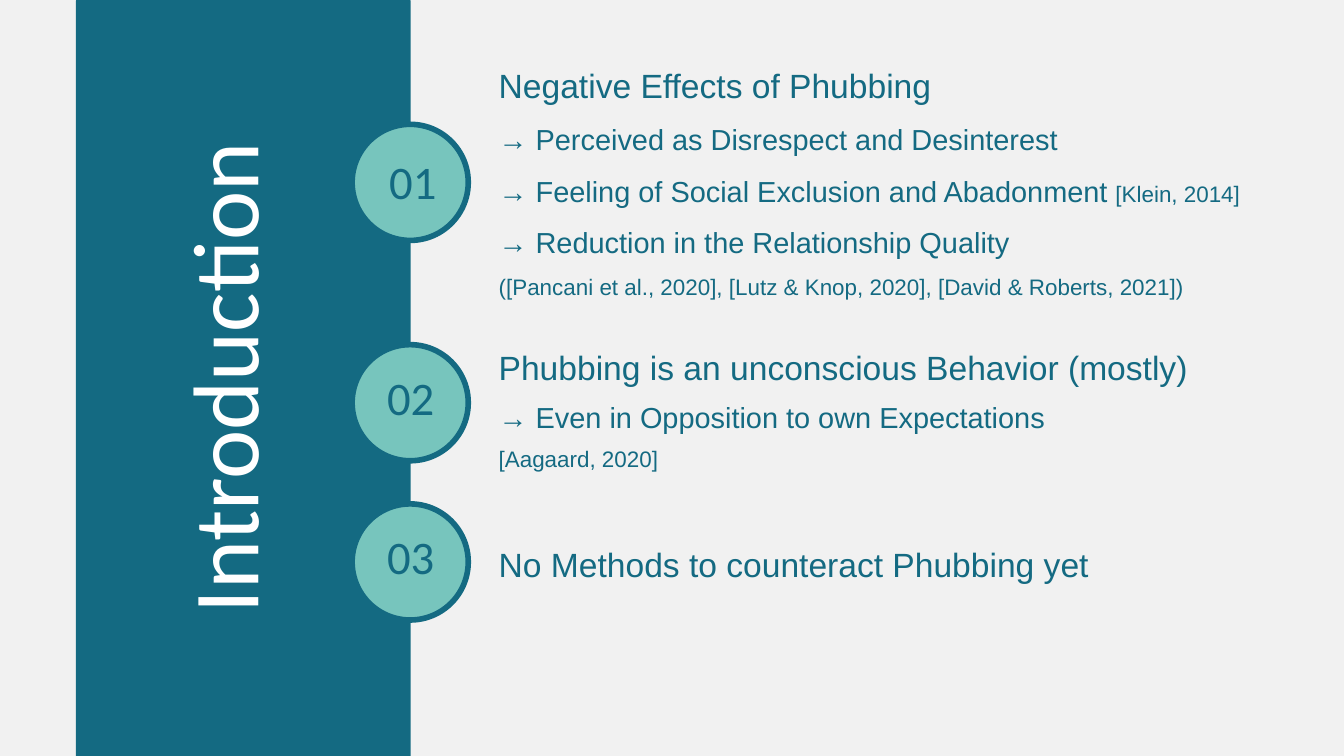
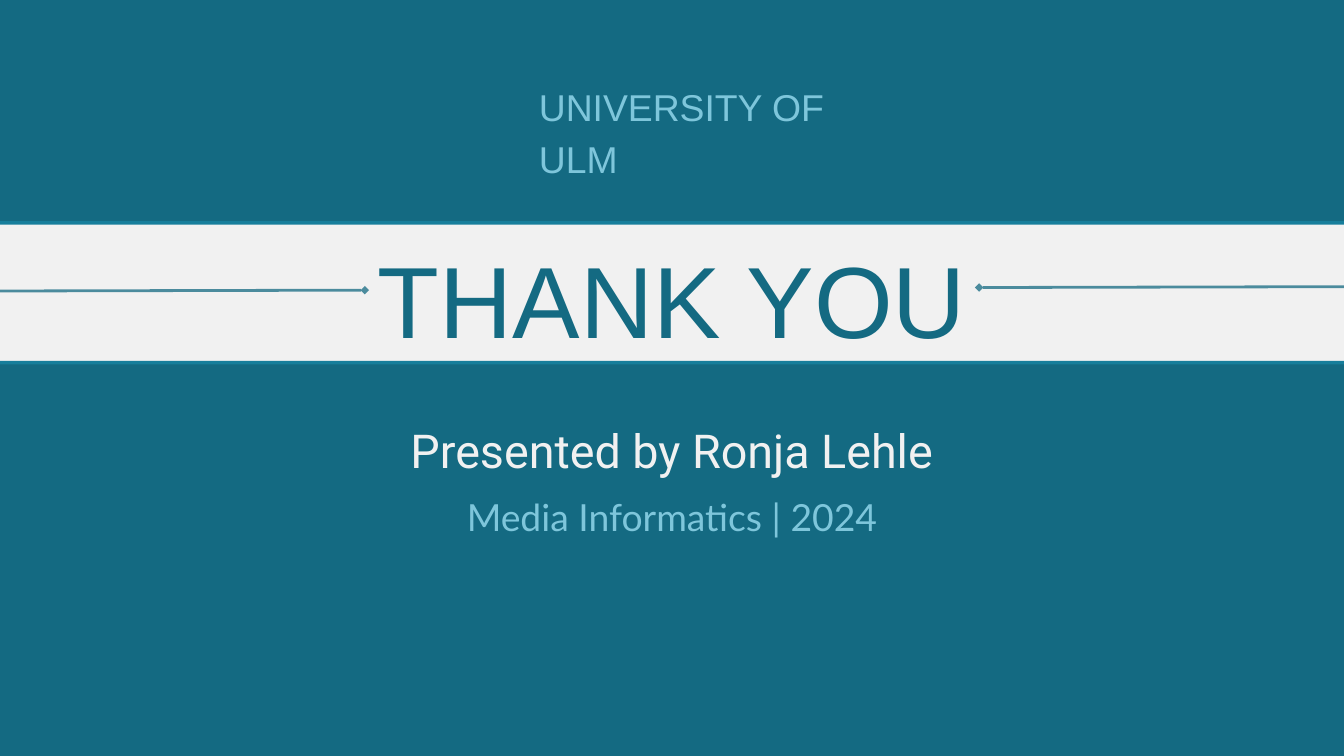
from lxml.etree import SubElement
from pptx import Presentation
from pptx.dml.color import RGBColor
from pptx.enum.shapes import MSO_CONNECTOR as Connector, MSO_SHAPE as Shape
from pptx.enum.text import MSO_ANCHOR as Anchor, MSO_AUTO_SIZE as AutoSize, PP_ALIGN as Align
from pptx.oxml.ns import qn
from pptx.util import Cm, Pt

TEAL = RGBColor(0x14, 0x6A, 0x82)
EDGE = RGBColor(0x17, 0x7E, 0x9B)
MINT = RGBColor(0x77, 0xC5, 0xBD)
SKY = RGBColor(0x7E, 0xC6, 0xDB)
PALE = RGBColor(0xF1, 0xF1, 0xF1)
WHITE = RGBColor(0xFF, 0xFF, 0xFF)

HEADING, POINT, SOURCE = 36, 31, 24

SECTIONS = [
    dict(number="01", circle_top=4.7, number_left=14.71, number_drop=0.71,
         text_top=2.08, text_height=9.3, before=4.2, after=4.2, rows=[
             [("Negative Effects of Phubbing", HEADING)],
             [("→ Perceived as Disrespect and Desinterest", POINT)],
             [("→ Feeling of Social Exclusion and Abadonment ", POINT), ("[Klein, 2014]", SOURCE)],
             [("→ Reduction in the Relationship Quality", POINT)],
             [("([Pancani et al., 2020], [Lutz & Knop, 2020], [David & Roberts, 2021])", SOURCE)]]),
    dict(number="02", circle_top=13.03, number_left=14.63, number_drop=0.56,
         text_top=12.73, text_height=5.11, before=4.2, after=0, rows=[
             [("Phubbing is an unconscious Behavior (mostly)", HEADING)],
             [("→ Even in Opposition to own Expectations", POINT)],
             [("[Aagaard, 2020]", SOURCE)]]),
    dict(number="03", circle_top=19.05, number_left=14.63, number_drop=0.56,
         text_top=20.19, text_height=1.91, before=0, after=0, rows=[
             [("No Methods to counteract Phubbing yet", HEADING)]]),
]


def write_text(frame, rows, font="Arial", color=TEAL, align=Align.LEFT, leading=1.4, before=0, after=0):
    frame.word_wrap = True
    frame.auto_size = AutoSize.NONE
    frame.vertical_anchor = Anchor.TOP
    frame.margin_left = frame.margin_right = frame.margin_top = frame.margin_bottom = 0
    for index, row in enumerate(rows):
        para = frame.add_paragraph() if index else frame.paragraphs[0]
        para.alignment = align
        para.line_spacing = Pt(row[0][1] * leading)
        para.space_before = Pt(before if index else 0)
        para.space_after = Pt(after)
        for text, size in row:
            span = para.add_run()
            span.text = text
            span.font.size = Pt(size)
            span.font.name = font
            span.font.color.rgb = color


def add_text(page, left, top, width, height, rows, **style):
    box = page.shapes.add_textbox(Cm(left), Cm(top), Cm(width), Cm(height))
    write_text(box.text_frame, rows, **style)


def set_title(page, left, top, width, height, text, size, rotation=0, **style):
    title = page.shapes.title
    title.left, title.top, title.width, title.height = Cm(left), Cm(top), Cm(width), Cm(height)
    title.rotation = rotation
    write_text(title.text_frame, [[(text, size)]], align=Align.CENTER, **style)
    title.element.getparent().append(title.element)


def add_shape(page, kind, left, top, width, height, fill, line=None, weight=0):
    shape = page.shapes.add_shape(kind, Cm(left), Cm(top), Cm(width), Cm(height))
    shape.shadow.inherit = False
    shape.fill.solid()
    shape.fill.fore_color.rgb = fill
    if line is None:
        shape.line.fill.background()
    else:
        shape.line.color.rgb = line
        shape.line.width = Pt(weight)
    return shape


def add_band(page, left, top, width, height, fill, radius, **outline):
    band = add_shape(page, Shape.ROUNDED_RECTANGLE, left, top, width, height, fill, **outline)
    band.adjustments[0] = radius


def add_diamond_line(page, left, top):
    connector = page.shapes.add_connector(
        Connector.STRAIGHT, Cm(left), Cm(top), Cm(left + 21.87), Cm(top - 0.05))
    connector.line.color.rgb = TEAL
    connector.line.width = Pt(3)
    properties = connector.element.spPr
    line = properties.find(qn("a:ln"))
    color = line.find(qn("a:solidFill")).find(qn("a:srgbClr"))
    SubElement(color, qn("a:alpha"), val="75000")
    for end in ("a:headEnd", "a:tailEnd"):
        SubElement(line, qn(end), type="diamond")
    SubElement(properties, qn("a:effectLst"))


def add_section(page, section):
    top = section["circle_top"]
    add_shape(page, Shape.OVAL, 13.31, top, 4.39, 4.39, MINT, line=TEAL, weight=6)
    add_text(page, section["number_left"], top + section["number_drop"], 2.67, 2.46,
             [[(section["number"], 50)]], font="Calibri")
    add_text(page, 18.85, section["text_top"], 29.11, section["text_height"], section["rows"],
             leading=1.5, before=section["before"], after=section["after"])


def add_page(deck, background):
    page = deck.slides.add_slide(deck.slide_layouts[5])
    page.background.fill.solid()
    page.background.fill.fore_color.rgb = background
    return page


def build_introduction(deck):
    page = add_page(deck, PALE)
    add_band(page, 2.87, -0.81, 12.65, 30.23, TEAL, 0.07)
    set_title(page, -2.72, 12.52, 22.86, 3.53, "Introduction", 100, rotation=270,
              font="Calibri", color=WHITE, leading=1)
    for section in SECTIONS:
        add_section(page, section)


def build_thanks(deck):
    page = add_page(deck, TEAL)
    add_band(page, -4.62, 8.43, 60.05, 5.28, PALE, 0.09, line=EDGE, weight=3.75)
    set_title(page, 11.53, 8.2, 27.74, 5.36, "THANK YOU", 108.4)
    add_diamond_line(page, -8.08, 11.02)
    add_diamond_line(page, 37.01, 10.87)
    add_text(page, 12.27, 15.6, 26.26, 2.46, [[("Presented by Ronja Lehle", 50)]],
             font="Roboto", color=PALE, align=Align.CENTER)
    add_text(page, 16.23, 18.39, 18.34, 1.98, [[("Media Informatics | 2024", 40)]],
             font="Lato", color=SKY, align=Align.CENTER)
    add_text(page, 20.37, 2.9, 13.44, 1.98, [[("UNIVERSITY OF ULM", 40)]], color=SKY)


def main():
    deck = Presentation()
    deck.slide_width, deck.slide_height = Cm(50.8), Cm(28.58)
    build_introduction(deck)
    build_thanks(deck)
    deck.save("out.pptx")


if __name__ == "__main__":
    main()
